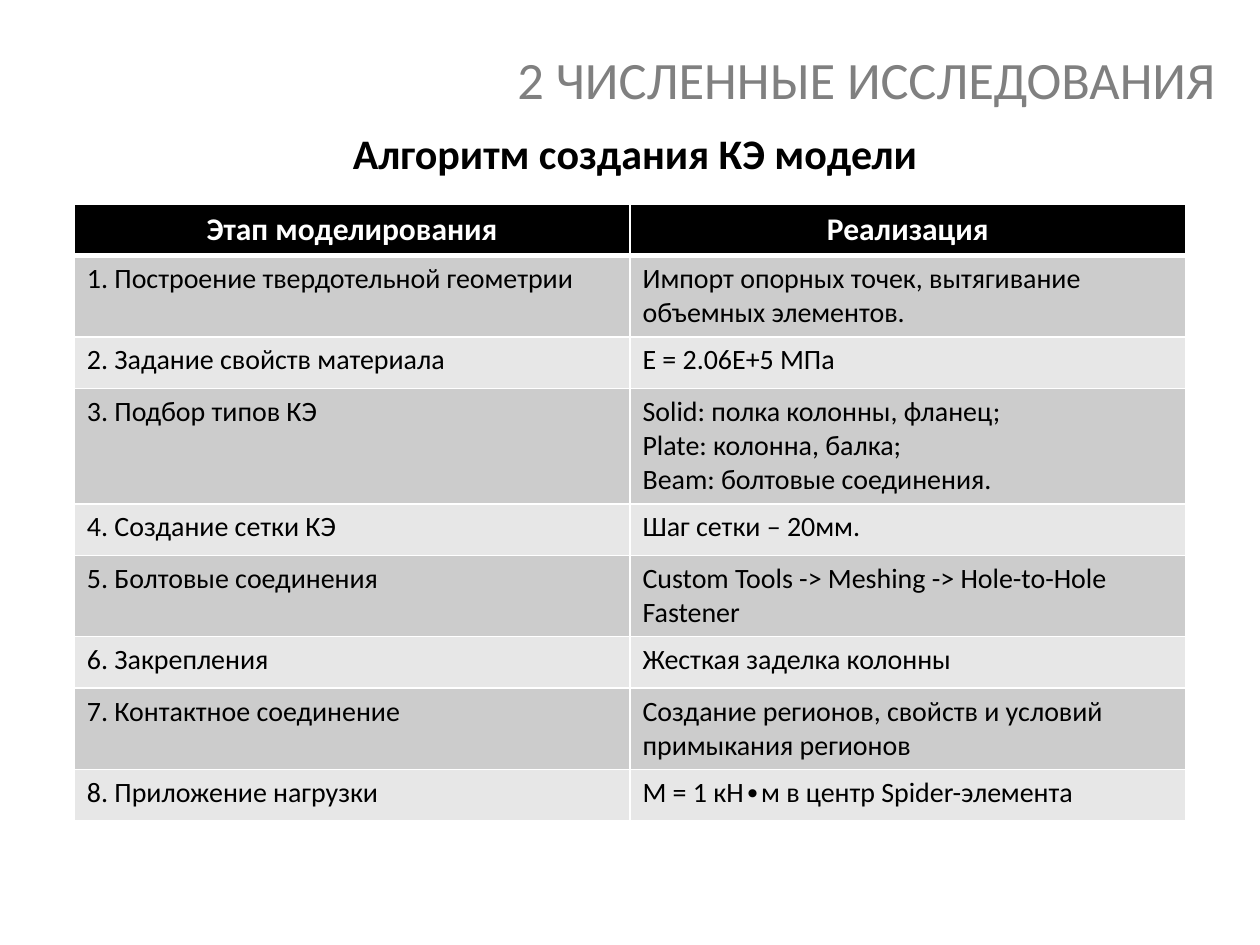
import lxml.etree
import pptx
import pptx.dml.color
import pptx.enum.text
import pptx.oxml.ns
import pptx.util

Inches, Pt = pptx.util.Inches, pptx.util.Pt
RGBColor = pptx.dml.color.RGBColor
PP_ALIGN, MSO_ANCHOR = pptx.enum.text.PP_ALIGN, pptx.enum.text.MSO_ANCHOR
qn = pptx.oxml.ns.qn

BLACK = RGBColor(0x00, 0x00, 0x00)
WHITE = RGBColor(0xFF, 0xFF, 0xFF)
GRAY = RGBColor(0x80, 0x80, 0x80)
BAND_DARK = RGBColor(0xCC, 0xCC, 0xCC)
BAND_LIGHT = RGBColor(0xE7, 0xE7, 0xE7)
FONT = "Calibri"

ROWS = [
    ("Этап моделирования", "Реализация"),
    ("1. Построение твердотельной геометрии",
     "Импорт опорных точек, вытягивание объемных элементов."),
    ("2. Задание свойств материала", "Е = 2.06Е+5 МПа"),
    ("3. Подбор типов КЭ",
     "Solid: полка колонны, фланец;\nPlate: колонна, балка;\vBeam: болтовые соединения."),
    ("4. Создание сетки КЭ", "Шаг сетки – 20мм."),
    ("5. Болтовые соединения", "Custom Tools -> Meshing -> Hole-to-Hole Fastener"),
    ("6. Закрепления", "Жесткая заделка колонны"),
    ("7. Контактное соединение",
     "Создание регионов, свойств и условий примыкания регионов"),
    ("8. Приложение нагрузки", "М = 1 кН∙м в центр Spider-элемента"),
]


def format_text(tf, size, color, bold, align):
    """Format every paragraph and run of a text frame."""
    for p in tf.paragraphs:
        p.alignment = align
        for r in p.runs:
            r.font.name = FONT
            r.font.size = Pt(size)
            r.font.bold = bold
            r.font.color.rgb = color


def fill_placeholder(sp, box, text, size, color, bold, align, anchor):
    """Move a placeholder to a box and set its formatted text."""
    sp.left, sp.top, sp.width, sp.height = (Inches(v) for v in box)
    tf = sp.text_frame
    tf.text = text
    tf.vertical_anchor = anchor
    format_text(tf, size, color, bold, align)


def set_borders(cell, bottom_width):
    """Give a cell white borders of one point and a chosen bottom width."""
    tc_pr = cell._tc.get_or_add_tcPr()
    widths = {"a:lnL": 1, "a:lnR": 1, "a:lnT": 1, "a:lnB": bottom_width}
    for i, (tag, width) in enumerate(widths.items()):
        ln = lxml.etree.Element(qn(tag), w=str(Pt(width)))
        fill = lxml.etree.SubElement(ln, qn("a:solidFill"))
        lxml.etree.SubElement(fill, qn("a:srgbClr"), val=str(WHITE))
        tc_pr.insert(i, ln)


def add_steps_table(s, box, rows, row_height):
    """Add the banded table of modelling steps inside a box."""
    left, top, width, height = (Inches(v) for v in box)
    table = s.shapes.add_table(len(rows), len(rows[0]), left, top, width, height).table
    for i, texts in enumerate(rows):
        header = i == 0
        table.rows[i].height = Inches(row_height)
        for j, text in enumerate(texts):
            cell = table.cell(i, j)
            cell.text_frame.text = text
            cell.fill.solid()
            if header:
                cell.fill.fore_color.rgb = BLACK
                format_text(cell.text_frame, 18, WHITE, True, PP_ALIGN.CENTER)
            else:
                cell.fill.fore_color.rgb = BAND_DARK if i % 2 else BAND_LIGHT
                format_text(cell.text_frame, 16, BLACK, False, PP_ALIGN.LEFT)
            set_borders(cell, 3 if header else 1)


def main():
    """Build and save the slide."""
    prs = pptx.Presentation()
    prs.slide_width, prs.slide_height = Inches(10), Inches(7.5)
    s = prs.slides.add_slide(prs.slide_layouts.get_by_name("Section Header"))
    fill_placeholder(s.placeholders[1], (0.59, 0.76, 8.9, 0.7),
                     "Алгоритм создания КЭ модели", 24, BLACK, True,
                     PP_ALIGN.CENTER, MSO_ANCHOR.BOTTOM)
    add_steps_table(s, (0.59, 1.62, 8.82, 3.69), ROWS, 0.41)
    fill_placeholder(s.shapes.title, (0.75, 0, 9, 1.25),
                     "2 ЧИСЛЕННЫЕ ИССЛЕДОВАНИЯ", 30, GRAY, False,
                     PP_ALIGN.RIGHT, MSO_ANCHOR.MIDDLE)
    prs.save("out.pptx")


if __name__ == "__main__":
    main()
